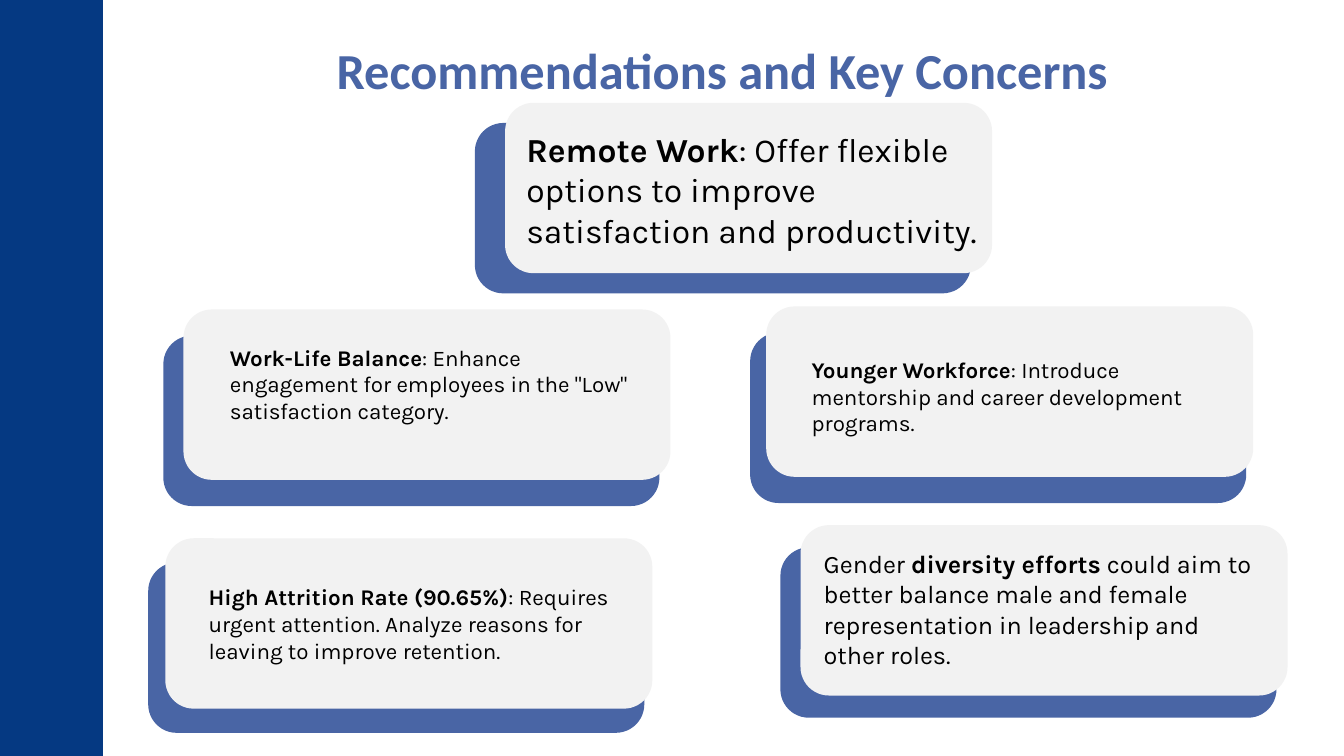
from pptx import Presentation
from pptx.dml.color import RGBColor
from pptx.enum.shapes import MSO_SHAPE as Preset
from pptx.enum.text import MSO_ANCHOR as Anchor, PP_ALIGN as Align
from pptx.util import Inches, Pt

NAVY, BLUE, GREY, BLACK = "053982", "4965A5", "F2F2F2", "000000"
BACK_SIZE = (4.92, 1.69)
FRONT_SIZE = (4.83, 1.69)

# Each card: back corner, front corner, text area, text size, (text, bold) runs
CARDS = [
    ((1.62, 3.33), (1.82, 3.07), (2.28, 3.41, 4.02, 1.1), 16,
     [("Work-Life Balance", True),
      (': Enhance engagement for employees in the "Low" satisfaction category.', False)]),
    ((7.44, 3.3), (7.6, 3.04), (8.05, 3.53, 4.02, 1.04), 16,
     [("Younger Workforce", True),
      (": Introduce mentorship and career development programs.", False)]),
    ((1.47, 5.58), (1.64, 5.34), (2.07, 5.79, 4.02, 1.04), 16,
     [("High Attrition Rate (90.65%)", True),
      (": Requires urgent attention. Analyze reasons for leaving to improve retention.", False)]),
    ((7.74, 5.43), (7.94, 5.21), (8.17, 5.44, 4.26, 1.2), 18,
     [("Gender ", False), ("diversity efforts", True),
      (" could aim to better balance male and female representation"
       " in leadership and other roles.", False)]),
    ((4.71, 1.22), (5.01, 1.02), (5.22, 1.28, 4.63, 1.21), 24,
     [("Remote Work", True),
      (": Offer flexible options to improve satisfaction and productivity.", False)]),
]


def color(hex_value):
    return RGBColor.from_string(hex_value)


def inches(*lengths):
    return [Inches(length) for length in lengths]


def set_font(font, name, size, hex_value):
    font.name, font.size = name, Pt(size)
    font.color.rgb = color(hex_value)


def set_margins(frame, vertical=0):
    frame.margin_left = frame.margin_right = 0
    frame.margin_top = frame.margin_bottom = Inches(vertical)
    frame.word_wrap = True


def add_panel(slide, preset, area, fill):
    panel = slide.shapes.add_shape(preset, *inches(*area))
    panel.shadow.inherit = False
    panel.fill.solid()
    panel.fill.fore_color.rgb = color(fill)
    panel.line.fill.background()


def add_title(slide, text):
    title = slide.shapes.title
    title.left, title.top, title.width, title.height = inches(1.67, 0.3, 10.99, 0.78)
    frame = title.text_frame
    set_margins(frame, 0.07)
    frame.vertical_anchor = Anchor.MIDDLE
    frame.text = text
    heading = frame.paragraphs[0]
    heading.alignment = Align.CENTER
    heading.line_spacing = 1.0
    set_font(heading.font, "Calibri", 36, BLUE)
    heading.font.bold = True


def add_card(slide, back, front, text_area, size, runs):
    add_panel(slide, Preset.ROUNDED_RECTANGLE, back + BACK_SIZE, BLUE)
    add_panel(slide, Preset.ROUNDED_RECTANGLE, front + FRONT_SIZE, GREY)
    frame = slide.shapes.add_textbox(*inches(*text_area)).text_frame
    set_margins(frame)
    advice = frame.paragraphs[0]
    set_font(advice.font, "Karla", size, BLACK)
    for text, bold in runs:
        run = advice.add_run()
        run.text = text
        run.font.bold = bold


def main():
    deck = Presentation()
    deck.slide_width, deck.slide_height = inches(13.33, 7.5)
    slide = deck.slides.add_slide(deck.slide_layouts[5])

    # Side band and title
    add_panel(slide, Preset.RECTANGLE, (0, 0, 1.02, 7.5), NAVY)
    add_title(slide, "Recommendations and Key Concerns")

    # Recommendation cards
    for card in CARDS:
        add_card(slide, *card)

    deck.save("out.pptx")


if __name__ == "__main__":
    main()
